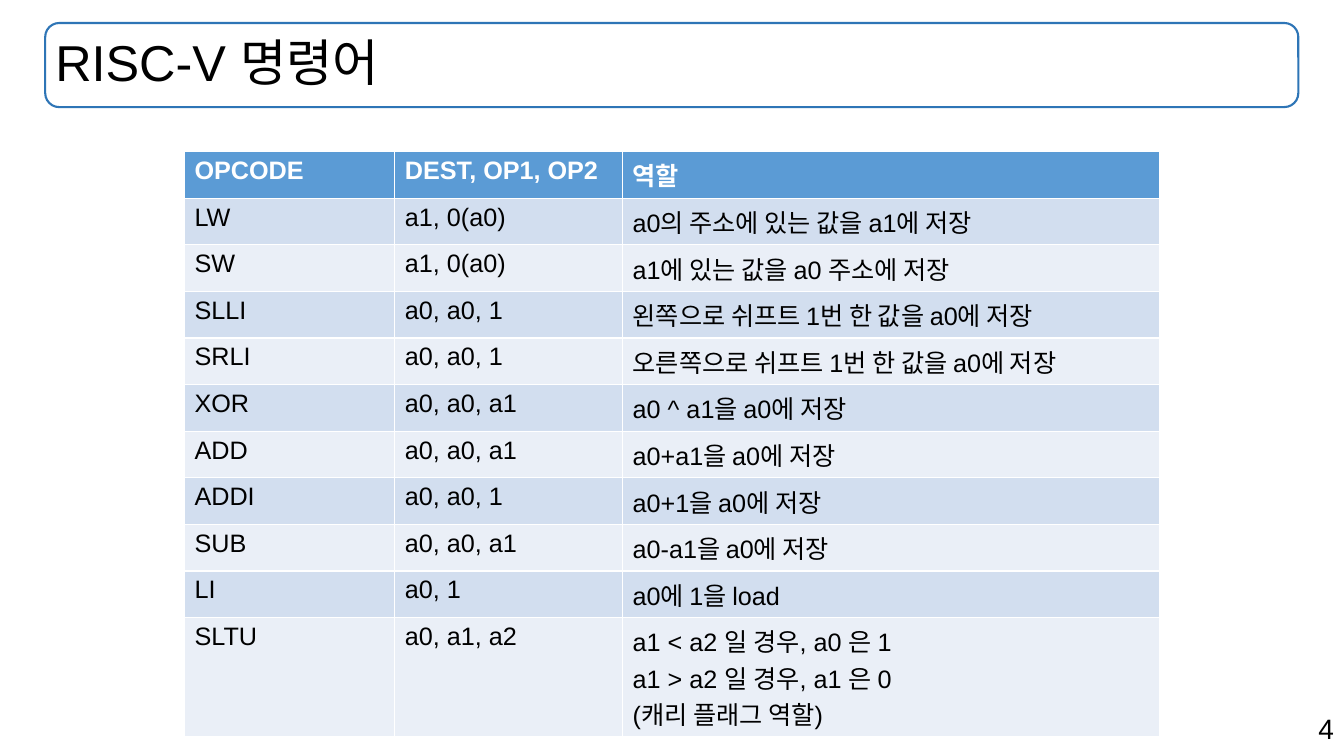
from pptx import Presentation
from pptx import util as u
from pptx.dml import color
from pptx.enum import shapes, text

INSTRUCTIONS = [
    ("OPCODE", "DEST, OP1, OP2", "역할"),
    ("LW", "a1, 0(a0)", "a0의 주소에 있는 값을 a1에 저장"),
    ("SW", "a1, 0(a0)", "a1에 있는 값을 a0 주소에 저장"),
    ("SLLI", "a0, a0, 1", "왼쪽으로 쉬프트 1번 한 값을 a0에 저장"),
    ("SRLI", "a0, a0, 1", "오른쪽으로 쉬프트 1번 한 값을 a0에 저장"),
    ("XOR", "a0, a0, a1", "a0 ^ a1을 a0에 저장"),
    ("ADD", "a0, a0, a1", "a0+a1을 a0에 저장"),
    ("ADDI", "a0, a0, 1", "a0+1을 a0에 저장"),
    ("SUB", "a0, a0, a1", "a0-a1을 a0에 저장"),
    ("LI", "a0, 1", "a0에 1을 load"),
    ("SLTU", "a0, a1, a2",
     "a1 < a2 일 경우, a0 은 1\na1 > a2 일 경우, a1 은 0\n(캐리 플래그 역할)"),
]


def rgb(value):
    return color.RGBColor.from_string(value)


class SlideBuilder:
    """Holds the style and the current slide, and draws each kind of element."""

    face = "Arial"
    ink = "000000"
    paper = "FFFFFF"
    outline = "2E75B6"
    header = "5B9BD5"
    bands = ("EAEFF7", "D2DEEF")

    def __init__(self, page):
        self.page = page

    def set_text(self, frame, words, size, ink=None, bold=False,
                 align=text.PP_ALIGN.LEFT):
        frame.text = words
        for para in frame.paragraphs:
            para.alignment = align
            para.font.name = self.face
            para.font.size = u.Pt(size)
            para.font.bold = bold
            para.font.color.rgb = rgb(ink or self.ink)

    def title(self, words, *area):
        box = self.page.shapes.title
        box.left, box.top, box.width, box.height = map(u.Cm, area)
        frame = box.text_frame
        frame.auto_size = text.MSO_AUTO_SIZE.NONE
        frame.vertical_anchor = text.MSO_ANCHOR.MIDDLE
        self.set_text(frame, words, 36)
        frame.paragraphs[0].line_spacing = 0.9

    def rounded_frame(self, *area):
        box = self.page.shapes.add_shape(
            shapes.MSO_SHAPE.ROUNDED_RECTANGLE, *map(u.Cm, area))
        box.shadow.inherit = False
        box.fill.background()
        box.line.color.rgb = rgb(self.outline)
        box.line.width = u.Pt(1.5)

    def page_number(self, words, *area):
        box = self.page.shapes.add_textbox(*map(u.Cm, area))
        box.text_frame.word_wrap = True
        self.set_text(box.text_frame, words, 20, align=text.PP_ALIGN.RIGHT)

    def table(self, rows, left, top, widths, row_height):
        grid = self.page.shapes.add_table(
            len(rows), len(widths), u.Cm(left), u.Cm(top),
            u.Cm(sum(widths)), u.Cm(row_height * len(rows))).table
        for column, width in zip(grid.columns, widths):
            column.width = u.Cm(width)
        for index, row in enumerate(rows):
            is_header = index == 0
            for cell, words in zip(grid.rows[index].cells, row):
                cell.fill.solid()
                cell.fill.fore_color.rgb = rgb(
                    self.header if is_header else self.bands[index % 2])
                self.set_text(cell.text_frame, words, 18,
                              self.paper if is_header else self.ink, is_header)


def main():
    deck = Presentation()
    deck.slide_width, deck.slide_height = u.Cm(33.87), u.Cm(19.05)
    builder = SlideBuilder(deck.slides.add_slide(deck.slide_layouts[5]))
    title_area = (1.14, 0.58, 31.58, 2.12)
    builder.rounded_frame(*title_area)
    builder.title("RISC-V 명령어", *title_area)
    builder.table(INSTRUCTIONS, 4.65, 3.82, (5.3, 5.74, 13.54), 1.03)
    builder.page_number("4", 23.95, 17.8, 9.92, 1.11)
    deck.save("out.pptx")


if __name__ == "__main__":
    main()
